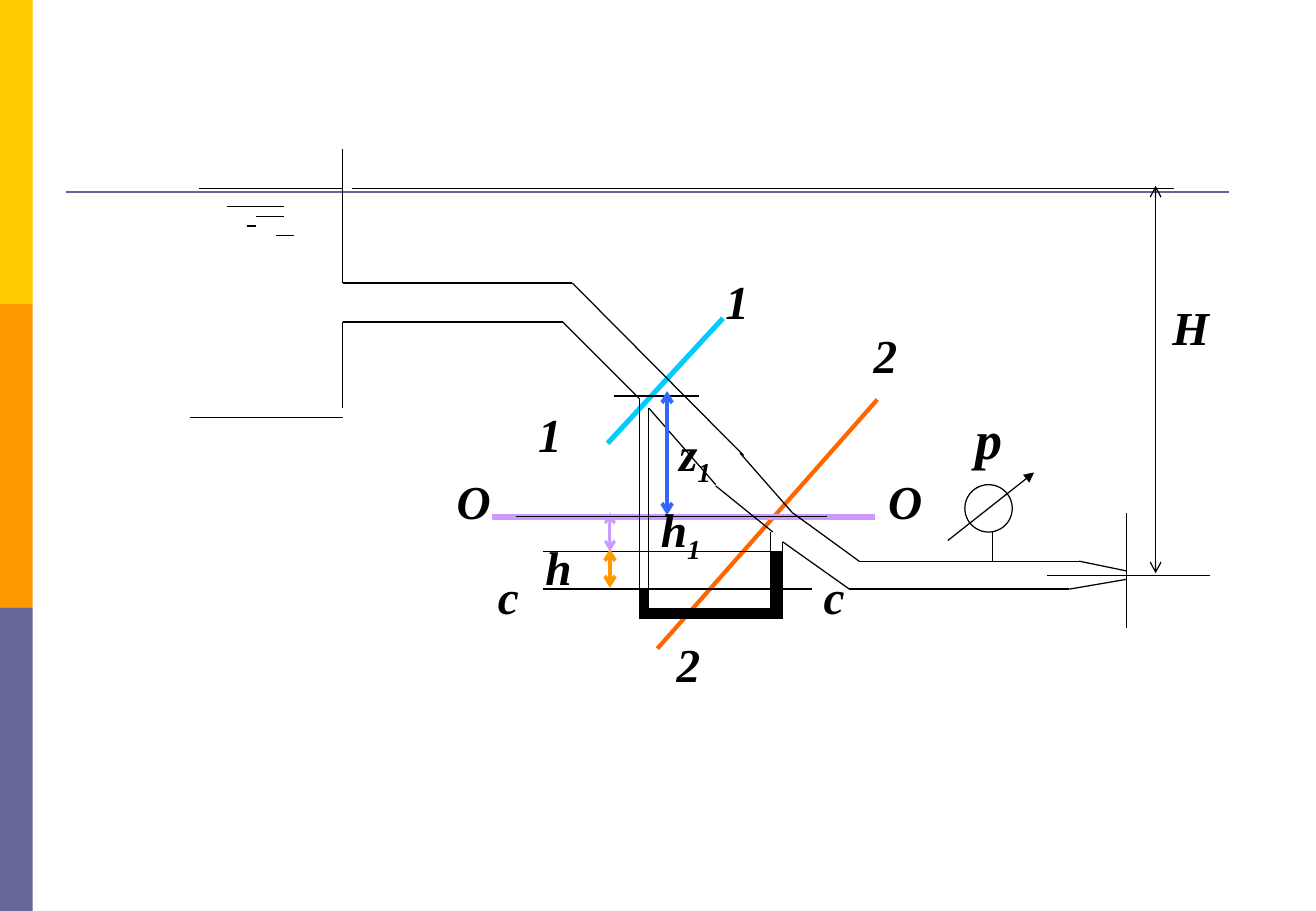
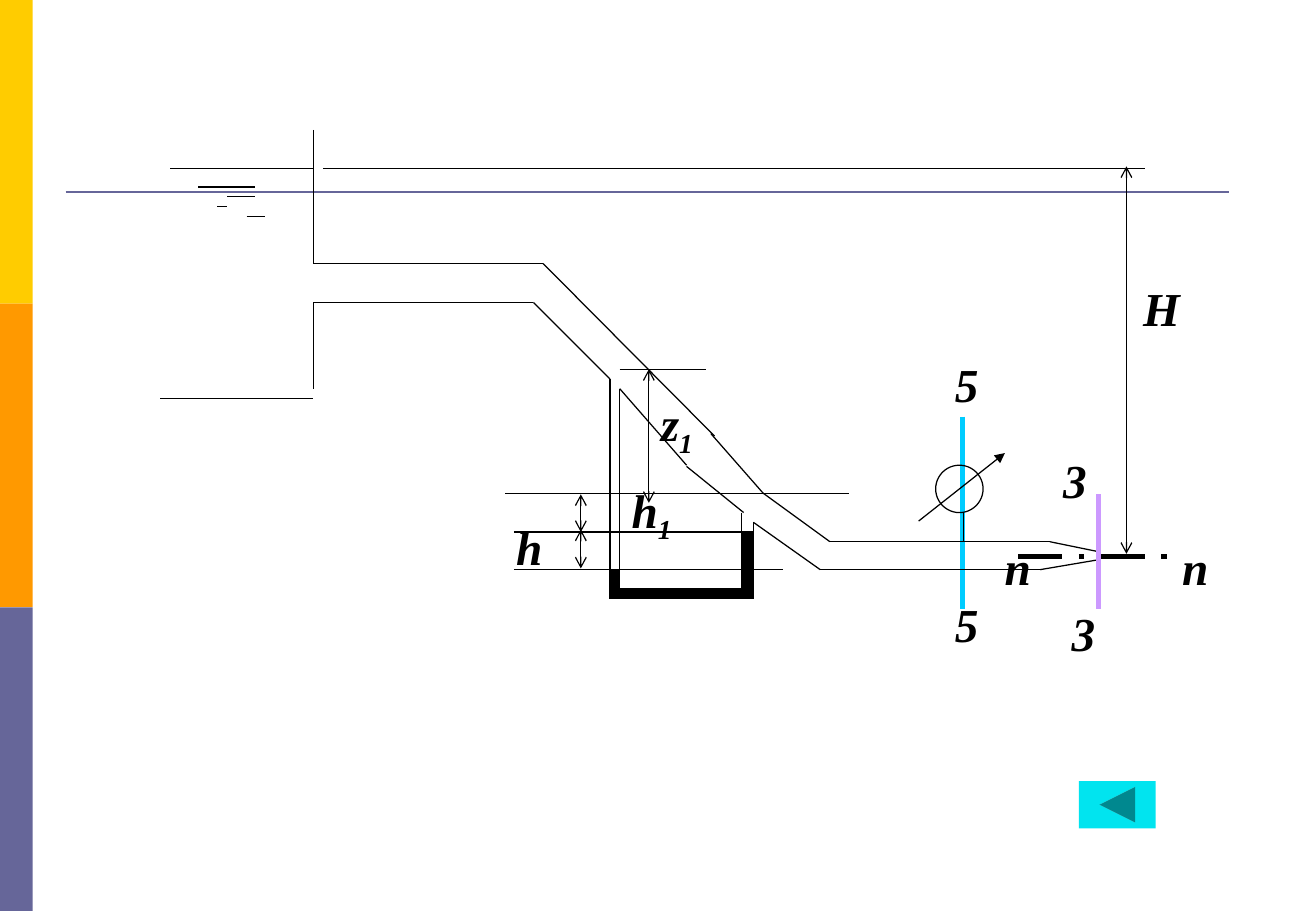
from lxml import etree
from pptx import Presentation
from pptx.dml.color import RGBColor
from pptx.enum.dml import MSO_LINE
from pptx.enum.shapes import MSO_CONNECTOR, MSO_SHAPE
from pptx.oxml.ns import qn
from pptx.util import Emu, Pt

PX = 9144  # 100 px to the inch
STRAIGHT = MSO_CONNECTOR.STRAIGHT
RECTANGLE = MSO_SHAPE.RECTANGLE
OVAL = MSO_SHAPE.OVAL
BACK_BUTTON = MSO_SHAPE.ACTION_BUTTON_BACK_OR_PREVIOUS
LONG_DASH_DOT = MSO_LINE.LONG_DASH_DOT

BLACK = RGBColor(0x00, 0x00, 0x00)
YELLOW = RGBColor(0xFF, 0xCC, 0x00)
ORANGE = RGBColor(0xFF, 0x99, 0x00)
SLATE = RGBColor(0x66, 0x66, 0x99)
SKY = RGBColor(0x00, 0xCC, 0xFF)
RED_ORANGE = RGBColor(0xFF, 0x66, 0x00)
VIOLET = RGBColor(0xCC, 0x99, 0xFF)
BLUE = RGBColor(0x33, 0x66, 0xFF)
CYAN = RGBColor(0x01, 0xE4, 0xEF)
FONT = "Times New Roman"
THIN = 0.75

# Installation: each path is a chain of points
PIPE_PATHS = [
    [(282, 123), (282, 233), (471, 233), (612, 375)],
    [(282, 336), (282, 265), (463, 265), (526, 328), (526, 509), (644, 509)],
    [(534, 497), (534, 336), (589, 399)],
    [(589, 400), (636, 438)],
    [(609, 373), (652, 422), (707, 462), (888, 462), (927, 470)],
    [(644, 509), (644, 446), (699, 485), (880, 485), (927, 477)],
    [(634, 438), (634, 497)],
]
LEVEL_PATHS = [
    [(164, 155), (282, 155)],
    [(290, 155), (966, 155)],
    [(156, 344), (282, 344)],
    [(187, 170), (234, 170)],
    [(211, 178), (234, 178)],
    [(203, 186), (211, 186)],
    [(227, 194), (242, 194)],
    [(447, 454), (644, 454)],
    [(447, 485), (668, 485)],
    [(817, 438), (817, 462)],
]
MERCURY_BOXES = [(634, 454, 10, 47), (526, 501, 118, 8), (526, 485, 8, 16)]
GAUGE_BOX = (794, 399, 39, 39)

# Lines: start, end, colour, width, head, tail, dash
# Labels: text, subscript, left, top, width, size
ARROWS = ("arrow", "arrow", None)
PLAIN = (None, None, None)
SHARED_LINES = [
    ((951, 153), (951, 472), BLACK, THIN, *ARROWS),
    ((780, 445), (851, 389), BLACK, THIN, None, "triangle", None),
]
SHARED_LABELS = [
    ("H", "", 955, 241, 87, 28),
    ("h", "", 439, 438, 36, 28),
    ("h", "1", 534, 407, 71, 28),
]

SCHEMES = [
    {
        "shift": (0, 0),
        "sections": [
            ((500, 365), (595, 262), SKY, 3, *PLAIN),
            ((541, 534), (722, 329), RED_ORANGE, 2.5, *PLAIN),
            ((405, 426), (720, 426), VIOLET, 3.5, *PLAIN),
        ],
        "dimensions": [
            ((927, 422), (927, 517), BLACK, THIN, *PLAIN),
            ((502, 452), (502, 484), ORANGE, 2.25, *ARROWS),
            ((505, 326), (575, 326), BLACK, THIN, *PLAIN),
            ((549, 322), (549, 424), BLUE, 2.25, *ARROWS),
            ((502, 422), (502, 454), VIOLET, 1.75, *ARROWS),
            ((862, 474), (996, 474), BLACK, THIN, *PLAIN),
            ((425, 425), (681, 425), BLACK, THIN, *PLAIN),
        ],
        "labels": [
            ("2", "", 547, 518, 79, 28),
            ("1", "", 433, 329, 71, 28),
            ("1", "", 587, 219, 71, 28),
            ("2", "", 709, 264, 79, 28),
            ("O", "", 366, 384, 39, 28),
            ("O", "", 721, 384, 39, 28),
            ("z", "1", 549, 344, 71, 28),
            ("c", "", 400, 462, 47, 28),
            ("c", "", 668, 462, 47, 28),
            ("p", "", 793, 329, 110, 32),
        ],
    },
    {
        "shift": (-24, -16),
        "sections": [
            ((792, 343), (792, 501), SKY, 3.25, *PLAIN),
        ],
        "dimensions": [
            ((904, 407), (904, 501), VIOLET, 3.5, *PLAIN),
            ((478, 436), (478, 468), BLACK, THIN, *ARROWS),
            ((510, 304), (581, 304), BLACK, THIN, *PLAIN),
            ((534, 304), (534, 414), BLACK, THIN, *ARROWS),
            ((478, 407), (478, 438), BLACK, THIN, *ARROWS),
            ((838, 458), (972, 458), BLACK, 3.25, None, None, LONG_DASH_DOT),
            ((416, 406), (699, 406), BLACK, THIN, *PLAIN),
        ],
        "labels": [
            ("3", "", 872, 493, 79, 28),
            ("3", "", 865, 367, 79, 28),
            ("5", "", 776, 288, 47, 28),
            ("5", "", 776, 485, 47, 28),
            ("z", "1", 534, 320, 71, 28),
            ("n", "", 963, 438, 79, 28),
            ("n", "", 817, 438, 79, 28),
        ],
    },
]


def draw_line(page, start, end, color, width, head, tail, dash, shift=(0, 0)):
    dx, dy = shift
    line = page.shapes.add_connector(
        STRAIGHT,
        Emu((start[0] + dx) * PX), Emu((start[1] + dy) * PX),
        Emu((end[0] + dx) * PX), Emu((end[1] + dy) * PX),
    )
    line.line.color.rgb = color
    line.line.width = Pt(width)
    if dash is not None:
        line.line.dash_style = dash
    properties = line._element.spPr
    outline = properties.find(qn("a:ln"))
    for tag, kind in (("a:headEnd", head), ("a:tailEnd", tail)):
        if kind:
            etree.SubElement(outline, qn(tag)).set("type", kind)
    etree.SubElement(properties, qn("a:effectLst"))


def draw_shape(page, kind, box, fill=None, outline=None, shift=(0, 0)):
    left, top, width, height = box
    shape = page.shapes.add_shape(
        kind, Emu((left + shift[0]) * PX), Emu((top + shift[1]) * PX),
        Emu(width * PX), Emu(height * PX),
    )
    shape.shadow.inherit = False
    if fill is None:
        shape.fill.background()
    else:
        shape.fill.solid()
        shape.fill.fore_color.rgb = fill
    if outline is None:
        shape.line.fill.background()
    else:
        shape.line.color.rgb = outline
        shape.line.width = Pt(THIN)


deck = Presentation()
deck.slide_width = Emu(1083 * PX)
deck.slide_height = Emu(750 * PX)

for scheme in SCHEMES:
    page = deck.slides.add_slide(deck.slide_layouts[6])
    shift = scheme["shift"]

    # Side bands and rule
    for index, color in enumerate((YELLOW, ORANGE, SLATE)):
        draw_shape(page, RECTANGLE, (0, index * 250, 27, 250), color)
    draw_line(page, (54, 158), (1011, 158), SLATE, 1.5, *PLAIN)

    # Section lines, then the installation over them
    for line in scheme["sections"]:
        draw_line(page, *line)
    for path in PIPE_PATHS + LEVEL_PATHS:
        for start, end in zip(path, path[1:]):
            draw_line(page, start, end, BLACK, THIN, *PLAIN, shift=shift)
    draw_shape(page, OVAL, GAUGE_BOX, outline=BLACK, shift=shift)
    for box in MERCURY_BOXES:
        draw_shape(page, RECTANGLE, box, BLACK, BLACK, shift)
    for line in SHARED_LINES:
        draw_line(page, *line, shift=shift)
    for line in scheme["dimensions"]:
        draw_line(page, *line)

    # Labels
    shared = [(text, sub, left + shift[0], top + shift[1], width, size)
              for text, sub, left, top, width, size in SHARED_LABELS]
    for text, subscript, left, top, width, size in shared + scheme["labels"]:
        label = page.shapes.add_textbox(
            Emu(left * PX), Emu(top * PX),
            Emu(width * PX), Emu((63 if size == 32 else 57) * PX),
        )
        label.text_frame.word_wrap = True
        para = label.text_frame.paragraphs[0]
        para.text = text
        if subscript:
            span = para.add_run()
            span.text = subscript
            span._r.get_or_add_rPr().set("baseline", "-25000")
        for span in para.runs:
            span.font.name = FONT
            span.font.size = Pt(size)
            span.font.bold = True
            span.font.italic = True
            span.font.color.rgb = BLACK

# Back button on the last slide
draw_shape(page, BACK_BUTTON, (888, 643, 63, 39), CYAN)

deck.save("out.pptx")
